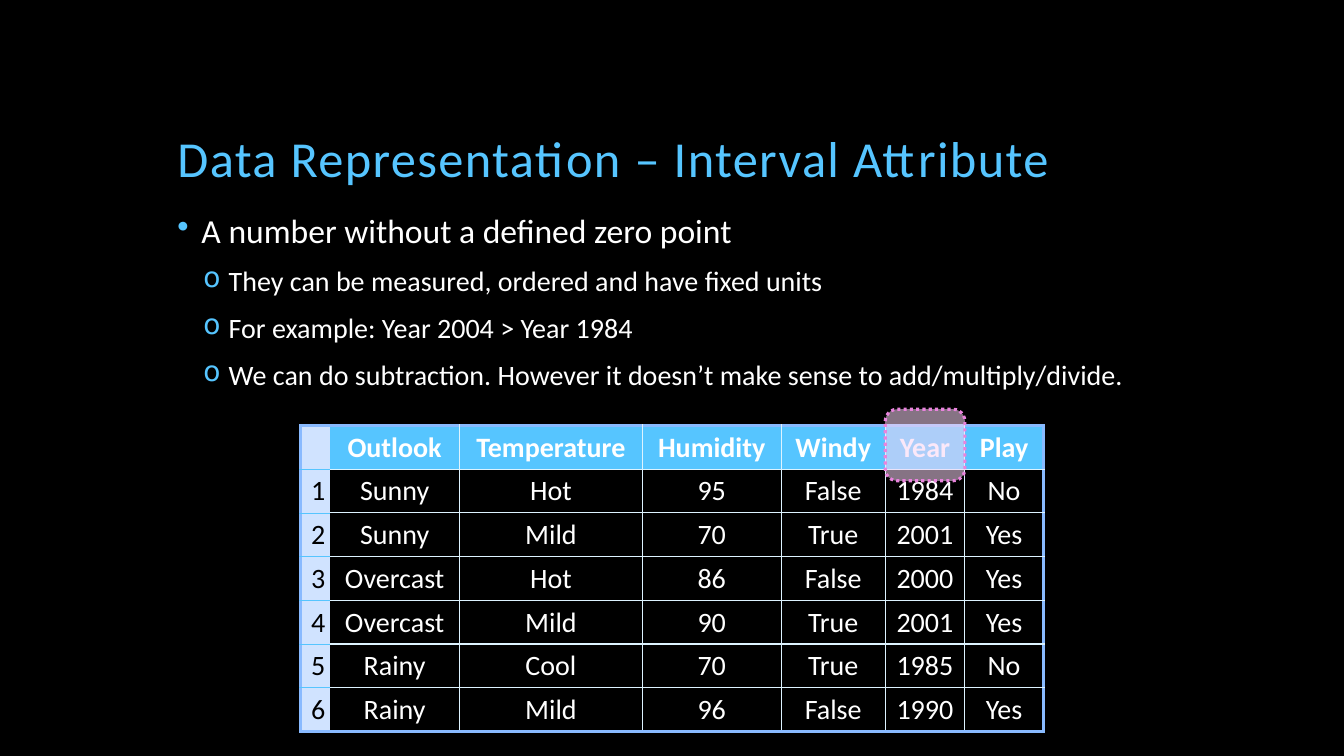
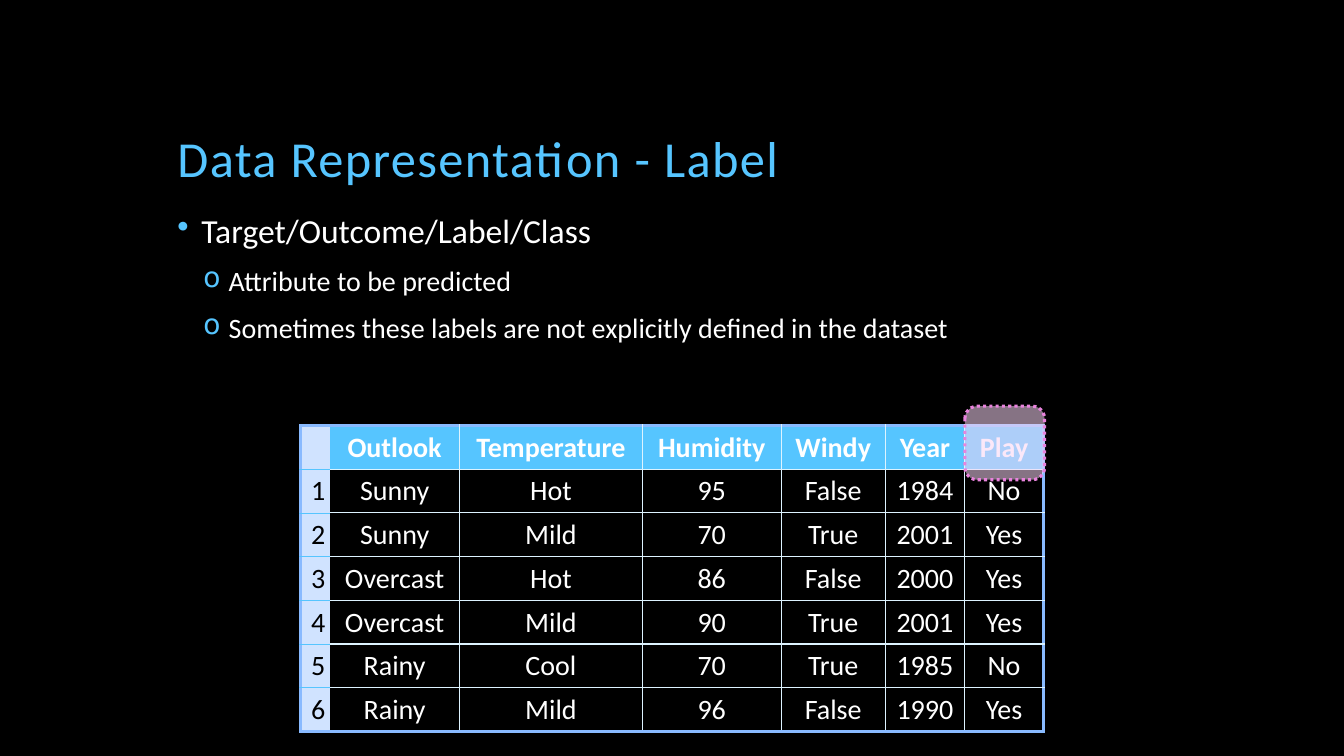
import pptx
import pptx.dml.color
import pptx.enum.dml
import pptx.enum.shapes
import pptx.enum.text
import pptx.oxml.ns
import pptx.util
from lxml import etree

EMU_PER_PX = 9144
COLS = [29, 129, 181, 138, 103, 79, 78]
ROW_H = 41
TABLE_LEFT, TABLE_TOP = 298, 422
WEATHER = [
    ["", "Outlook", "Temperature", "Humidity", "Windy", "Year", "Play"],
    ["1", "Sunny", "Hot", "95", "False", "1984", "No"],
    ["2", "Sunny", "Mild", "70", "True", "2001", "Yes"],
    ["3", "Overcast", "Hot", "86", "False", "2000", "Yes"],
    ["4", "Overcast", "Mild", "90", "True", "2001", "Yes"],
    ["5", "Rainy", "Cool", "70", "True", "1985", "No"],
    ["6", "Rainy", "Mild", "96", "False", "1990", "Yes"],
]


def px(n):
    return pptx.util.Emu(n * EMU_PER_PX)


def rgb(value):
    return pptx.dml.color.RGBColor.from_string(value)


def sub(parent, tag, **attrs):
    return etree.SubElement(parent, pptx.oxml.ns.qn(tag), attrs)


class Deck:
    FONT = "Calibri"
    BLACK, WHITE, ACCENT = "000000", "FFFFFF", "56C5FF"
    LABEL, FRAME, GRID = "D0E3FF", "89BAFF", "DDF3FF"
    MARK_FILL, MARK_LINE = "F8D6F4", "E983DD"
    LEVELS = [(24, 24, 24, 18, "•"), (20, 51, 25, 12, "o")]

    def __init__(self):
        self.prs = pptx.Presentation()
        self.prs.slide_width, self.prs.slide_height = px(1333), px(750)
        fill = self.prs.slide_master.background.fill
        fill.solid()
        fill.fore_color.rgb = rgb(self.BLACK)

    def run(self, p, text, size, color, bold=False):
        r = p.add_run()
        r.text = text
        r.font.name, r.font.size, r.font.bold = self.FONT, pptx.util.Pt(size), bold
        r.font.color.rgb = rgb(color)
        return r

    def slide(self, title):
        self.s = self.prs.slides.add_slide(self.prs.slide_layouts[5])
        sp = self.s.shapes.title
        sp.left, sp.top, sp.width, sp.height = px(166), px(42), px(1000), px(150)
        tf = sp.text_frame
        tf.vertical_anchor = pptx.enum.text.MSO_ANCHOR.BOTTOM
        p = tf.paragraphs[0]
        p.alignment = pptx.enum.text.PP_ALIGN.LEFT
        p.line_spacing = 0.9
        r = self.run(p, title, 36, self.ACCENT)
        r.font._element.set("spc", "100")

    def bullets(self, items):
        tf = self.s.shapes.add_textbox(px(166), px(208), px(999), px(450)).text_frame
        tf.word_wrap = True
        for i, (level, text) in enumerate(items):
            size, indent, hang, before, char = self.LEVELS[level]
            p = tf.add_paragraph() if i else tf.paragraphs[0]
            p.level = level
            p.line_spacing = 0.9
            p.space_before = pptx.util.Pt(before)
            pPr = p._p.get_or_add_pPr()
            pPr.set("marL", str(px(indent)))
            pPr.set("indent", str(-px(hang)))
            sub(sub(pPr, "a:buClr"), "a:srgbClr", val=self.ACCENT)
            sub(pPr, "a:buChar", char=char)
            self.run(p, text, size, self.WHITE)

    def border(self, cell, side, color, width):
        ln = sub(cell._tc.get_or_add_tcPr(), "a:ln" + side, w=str(pptx.util.Pt(width)))
        if color:
            sub(sub(ln, "a:solidFill"), "a:srgbClr", val=color)
        else:
            sub(ln, "a:noFill")

    def borders(self, cell, row, col, last_row, last_col):
        frame, grid = (self.FRAME, 2.25), (self.GRID, 1)
        inner = (self.ACCENT, 0.5) if col == 0 else grid
        left = {0: frame, 1: (None, 0)}.get(col, grid)
        right = {0: (None, 0), last_col: frame}.get(col, grid)
        top = frame if row == 0 else inner
        bottom = frame if row == last_row else inner
        for side, style in zip("LRTB", (left, right, top, bottom)):
            self.border(cell, side, *style)

    def table(self, rows):
        n, m = len(rows), len(COLS)
        tbl = self.s.shapes.add_table(n, m, px(TABLE_LEFT), px(TABLE_TOP),
                                      px(sum(COLS)), px(ROW_H * n)).table
        tbl.first_row = tbl.horz_banding = False
        for c, width in enumerate(COLS):
            tbl.columns[c].width = px(width)
        for i, row in enumerate(rows):
            for j, text in enumerate(row):
                cell = tbl.cell(i, j)
                self.borders(cell, i, j, n - 1, m - 1)
                fill = self.LABEL if j == 0 else self.ACCENT if i == 0 else self.BLACK
                cell.fill.solid()
                cell.fill.fore_color.rgb = rgb(fill)
                if j == 0:
                    cell.margin_right = px(4)
                p = cell.text_frame.paragraphs[0]
                p.alignment = pptx.enum.text.PP_ALIGN.CENTER
                self.run(p, text, 20, self.WHITE if j else self.BLACK, i == 0)

    def highlight(self, col, top, height):
        left = TABLE_LEFT + sum(COLS[:col])
        sp = self.s.shapes.add_shape(pptx.enum.shapes.MSO_SHAPE.ROUNDED_RECTANGLE,
                                     px(left), px(top), px(79), px(height))
        sp.shadow.inherit = False
        sp.fill.solid()
        sp.fill.fore_color.rgb = rgb(self.MARK_FILL)
        clr = sp._element.spPr.find(".//" + pptx.oxml.ns.qn("a:srgbClr"))
        sub(clr, "a:alpha", val="54000")
        sp.line.color.rgb = rgb(self.MARK_LINE)
        sp.line.width = pptx.util.Pt(2.25)
        sp.line.dash_style = pptx.enum.dml.MSO_LINE.ROUND_DOT


def main():
    deck = Deck()

    deck.slide("Data Representation – Interval Attribute")
    deck.bullets([
        (0, "A number without a defined zero point"),
        (1, "They can be measured, ordered and have fixed units"),
        (1, "For example: Year 2004 > Year 1984"),
        (1, "We can do subtraction. However it doesn’t make sense to add/multiply/divide."),
    ])
    deck.table(WEATHER)
    deck.highlight(WEATHER[0].index("Year"), 406, 71)

    deck.slide("Data Representation - Label")
    deck.bullets([
        (0, "Target/Outcome/Label/Class"),
        (1, "Attribute to be predicted"),
        (1, "Sometimes these labels are not explicitly defined in the dataset"),
    ])
    deck.table(WEATHER)
    deck.highlight(WEATHER[0].index("Play"), 403, 73)

    deck.prs.save("out.pptx")


if __name__ == "__main__":
    main()
